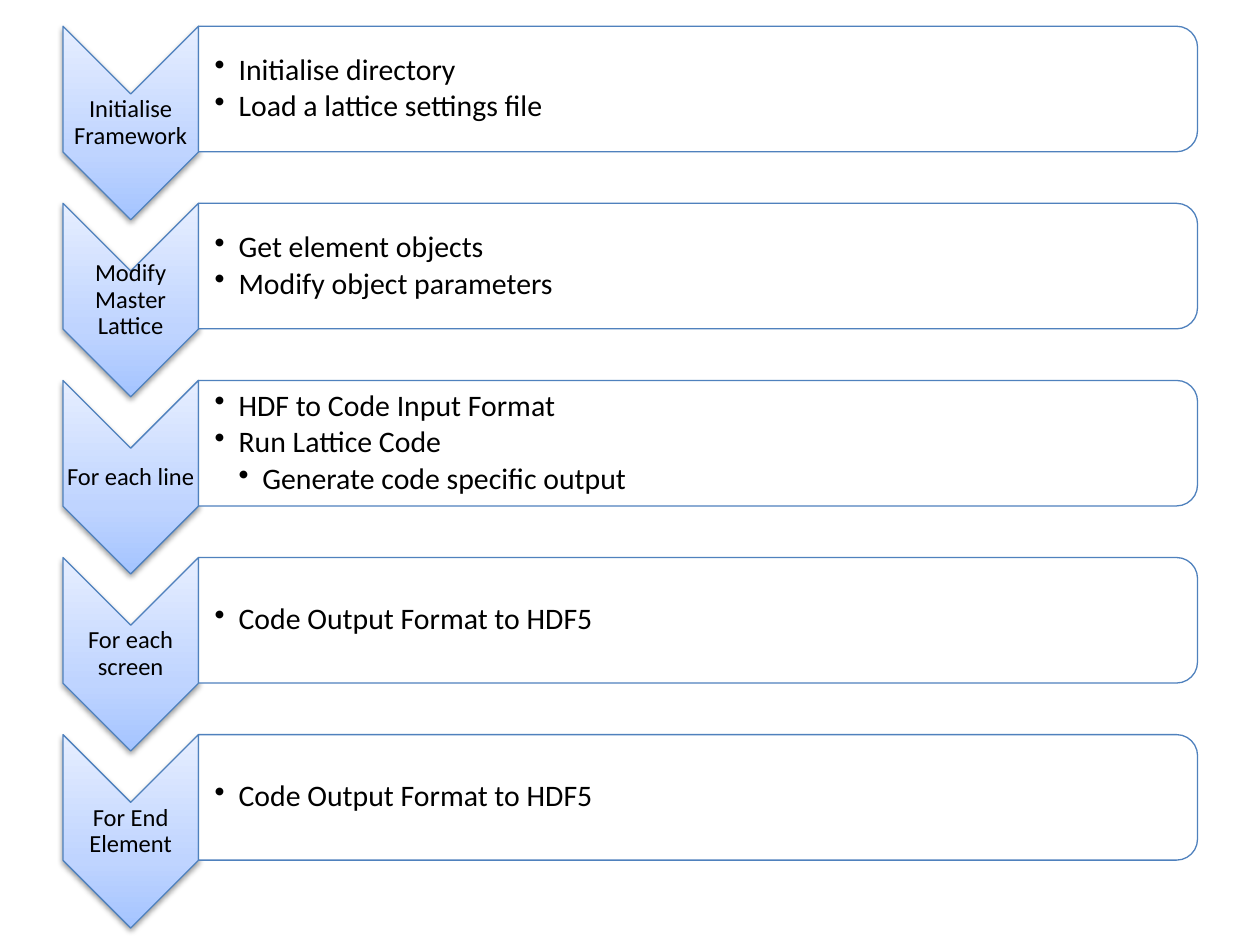
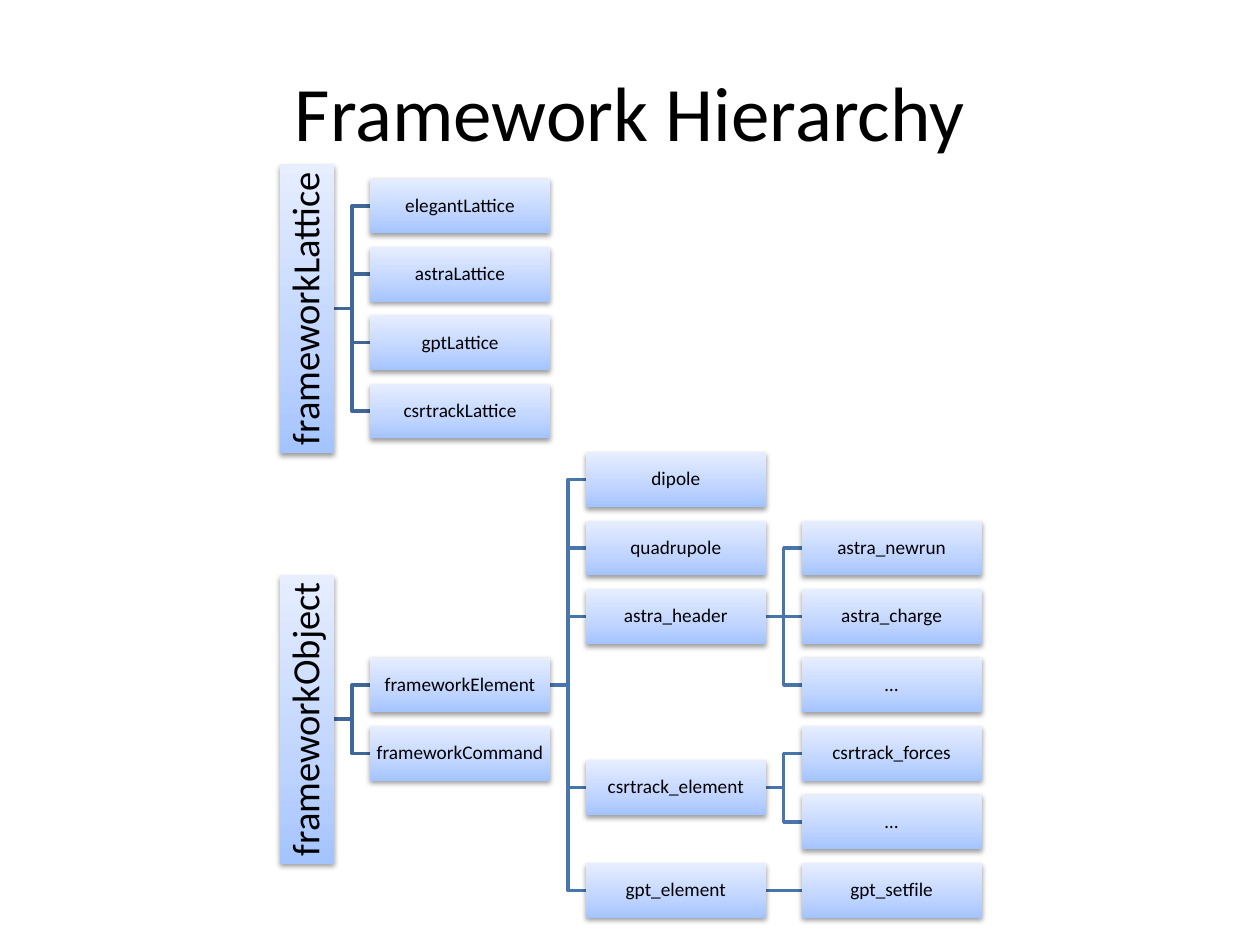
from lxml import etree
from pptx import Presentation
from pptx.dml.color import RGBColor
from pptx.enum.shapes import MSO_CONNECTOR, MSO_SHAPE
from pptx.enum.text import MSO_ANCHOR, PP_ALIGN
from pptx.oxml import parse_xml
from pptx.oxml.ns import nsdecls, qn
from pptx.util import Cm, Pt

CHEVRON = MSO_SHAPE.CHEVRON
ROUND_TOP = MSO_SHAPE.ROUND_2_SAME_RECTANGLE
RECTANGLE = MSO_SHAPE.RECTANGLE
ELBOW, STRAIGHT = MSO_CONNECTOR.ELBOW, MSO_CONNECTOR.STRAIGHT
CENTER, LEFT = PP_ALIGN.CENTER, PP_ALIGN.LEFT
MIDDLE = MSO_ANCHOR.MIDDLE

COLORS = {
    "text": "000000",
    "panel": "FFFFFF",
    "outline": "4F81BD",
    "root_link": "3F6797",
    "link": "4875AC",
    "dark": "A4C4FF",
    "middle": "BFD4FF",
    "light": "E6EEFF",
}
FONT = "Calibri"
FRAME_FORMAT = {
    "word_wrap": True,
    "vertical_anchor": MIDDLE,
    "margin_left": Cm(0.03),
    "margin_right": Cm(0.03),
    "margin_top": Cm(0.03),
    "margin_bottom": Cm(0.03),
}
GRADIENT = f"""<a:gradFill {nsdecls('a')} rotWithShape="0"><a:gsLst>
<a:gs pos="0"><a:srgbClr val="{COLORS['dark']}"/></a:gs>
<a:gs pos="35000"><a:srgbClr val="{COLORS['middle']}"/></a:gs>
<a:gs pos="100000"><a:srgbClr val="{COLORS['light']}"/></a:gs>
</a:gsLst><a:lin ang="16200000" scaled="1"/></a:gradFill>"""
SHADOW = f"""<a:effectLst {nsdecls('a')}>
<a:outerShdw blurRad="40000" dist="20000" dir="5400000" rotWithShape="0">
<a:srgbClr val="000000"><a:alpha val="38000"/></a:srgbClr>
</a:outerShdw></a:effectLst>"""


def add_block(slide, kind, center_x, center_y, width, height, rotation=0, outline=True):
    """Add a shape around a centre point; panels are plain, the rest shaded."""
    shape = slide.shapes.add_shape(
        kind, Cm(center_x - width / 2), Cm(center_y - height / 2), Cm(width), Cm(height))
    shape.rotation = rotation
    if outline:
        shape.line.color.rgb = RGBColor.from_string(COLORS["outline"])
        shape.line.width = Pt(0.75)
    else:
        shape.line.fill.background()
    if kind == ROUND_TOP:
        shape.shadow.inherit = False
        shape.fill.solid()
        shape.fill.fore_color.rgb = RGBColor.from_string(COLORS["panel"])
    else:
        properties = shape._element.spPr
        properties.insert(2, parse_xml(GRADIENT))
        properties.append(parse_xml(SHADOW))
    return shape


def write_text(shape, lines, size, align=CENTER):
    """Write (level, text) lines; a level above zero gets a bullet."""
    frame = shape.text_frame
    for name, value in FRAME_FORMAT.items():
        setattr(frame, name, value)
    for index, (level, text) in enumerate(lines):
        paragraph = frame.paragraphs[0] if index == 0 else frame.add_paragraph()
        paragraph.text = text
        paragraph_format = {"level": level, "alignment": align, "line_spacing": 0.9,
                            "space_after": Pt(size * 0.15 if level else 0)}
        for name, value in paragraph_format.items():
            setattr(paragraph, name, value)
        font = paragraph.runs[0].font
        for name, value in {"name": FONT, "size": Pt(size)}.items():
            setattr(font, name, value)
        font.color.rgb = RGBColor.from_string(COLORS["text"])
        if level:
            properties = paragraph._p.get_or_add_pPr()
            properties.set("marL", str(Cm(0.48 * level)))
            properties.set("indent", str(-Cm(0.48)))
            etree.SubElement(properties, qn("a:buChar")).set("char", "•")


presentation = Presentation()
presentation.slide_width, presentation.slide_height = Cm(25.4), Cm(19.05)

# Slide 1: workflow steps
STEPS = [
    ("Initialise Framework", [(1, "Initialise directory"), (1, "Load a lattice settings file")]),
    ("Modify Master Lattice", [(1, "Get element objects"), (1, "Modify object parameters")]),
    ("For each line", [(1, "HDF to Code Input Format"), (1, "Run Lattice Code"),
                       (2, "Generate code specific output")]),
    ("For each screen", [(1, "Code Output Format to HDF5")]),
    ("For End Element", [(1, "Code Output Format to HDF5")]),
]
STEP_TOP, STEP_PITCH = 0.53, 3.57
CHEVRON_LEFT, CHEVRON_WIDTH, CHEVRON_LENGTH = 1.27, 2.73, 3.9
PANEL_WIDTH, PANEL_HEIGHT = 20.14, 2.53
LABEL_HEIGHT, BULLETS_WIDTH, BULLETS_HEIGHT = 1.17, 20.02, 2.29

slide = presentation.slides.add_slide(presentation.slide_layouts[6])
panel_left = CHEVRON_LEFT + CHEVRON_WIDTH
for index, (label, bullets) in enumerate(STEPS):
    top = STEP_TOP + index * STEP_PITCH
    chevron_y = top + CHEVRON_LENGTH / 2
    panel_y = top + PANEL_HEIGHT / 2

    # Chevron with an upright label
    add_block(slide, CHEVRON, CHEVRON_LEFT + CHEVRON_WIDTH / 2, chevron_y,
              CHEVRON_LENGTH, CHEVRON_WIDTH, rotation=90)
    label_box = slide.shapes.add_textbox(
        Cm(CHEVRON_LEFT), Cm(chevron_y - LABEL_HEIGHT / 2), Cm(CHEVRON_WIDTH), Cm(LABEL_HEIGHT))
    write_text(label_box, [(0, label)], 14)

    # Panel with bullets
    add_block(slide, ROUND_TOP, panel_left + PANEL_WIDTH / 2, panel_y,
              PANEL_HEIGHT, PANEL_WIDTH, rotation=90)
    bullet_box = slide.shapes.add_textbox(
        Cm(panel_left), Cm(panel_y - BULLETS_HEIGHT / 2), Cm(BULLETS_WIDTH), Cm(BULLETS_HEIGHT))
    write_text(bullet_box, bullets, 17, LEFT)
    bullet_box.text_frame.margin_left = Cm(0.33)

# Slide 2: class hierarchy
slide = presentation.slides.add_slide(presentation.slide_layouts[5])
title = slide.shapes.title
title_format = {"left": Cm(1.27), "top": Cm(0.76), "width": Cm(22.86), "height": Cm(3.18)}
for name, value in title_format.items():
    setattr(title, name, value)
write_text(title, [(0, "Framework Hierarchy")], 44)

# Each node: name, column, row, rows of its children in the next column
NODES = [
    ("frameworkLattice", 0, 1.5, [0, 1, 2, 3]),
    ("elegantLattice", 1, 0, []),
    ("astraLattice", 1, 1, []),
    ("gptLattice", 1, 2, []),
    ("csrtrackLattice", 1, 3, []),
    ("frameworkObject", 0, 7.5, [7, 8]),
    ("frameworkElement", 1, 7, [4, 5, 6, 8.5, 10]),
    ("dipole", 2, 4, []),
    ("quadrupole", 2, 5, []),
    ("astra_header", 2, 6, [5, 6, 7]),
    ("astra_newrun", 3, 5, []),
    ("astra_charge", 3, 6, []),
    ("…", 3, 7, []),
    ("csrtrack_element", 2, 8.5, [8, 9]),
    ("csrtrack_forces", 3, 8, []),
    ("…", 3, 9, []),
    ("gpt_element", 2, 10, [10]),
    ("gpt_setfile", 3, 10, []),
    ("frameworkCommand", 1, 8, []),
]
FIRST_ROW_Y, ROW_PITCH = 4.15, 1.38
NODE_WIDTH, NODE_HEIGHT, NODE_GAP, ROOT_LENGTH = 3.63, 1.1, 0.72, 5.82
ROOT_LEFT = 5.64
column_lefts = [ROOT_LEFT] + [
    ROOT_LEFT + NODE_HEIGHT + NODE_GAP + index * (NODE_WIDTH + NODE_GAP) for index in range(3)]

# Links, behind the nodes
for _, column, row, child_rows in NODES:
    end_x = column_lefts[column + 1] if child_rows else 0
    for child_row in child_rows:
        link = slide.shapes.add_connector(
            STRAIGHT if child_row == row else ELBOW,
            Cm(end_x - NODE_GAP), Cm(FIRST_ROW_Y + row * ROW_PITCH),
            Cm(end_x), Cm(FIRST_ROW_Y + child_row * ROW_PITCH))
        link.line.color.rgb = RGBColor.from_string(COLORS["link" if column else "root_link"])
        link.line.width = Pt(2)
        etree.SubElement(link._element.spPr, qn("a:effectLst"))

# Nodes; the roots are turned to read upwards
for name, column, row, _ in NODES:
    length, rotation, size = (NODE_WIDTH, 0, 11) if column else (ROOT_LENGTH, 270, 22)
    visible_width = NODE_WIDTH if column else NODE_HEIGHT
    node = add_block(slide, RECTANGLE, column_lefts[column] + visible_width / 2,
                     FIRST_ROW_Y + row * ROW_PITCH, length, NODE_HEIGHT, rotation, outline=False)
    write_text(node, [(0, name)], size)

presentation.save("out.pptx")
